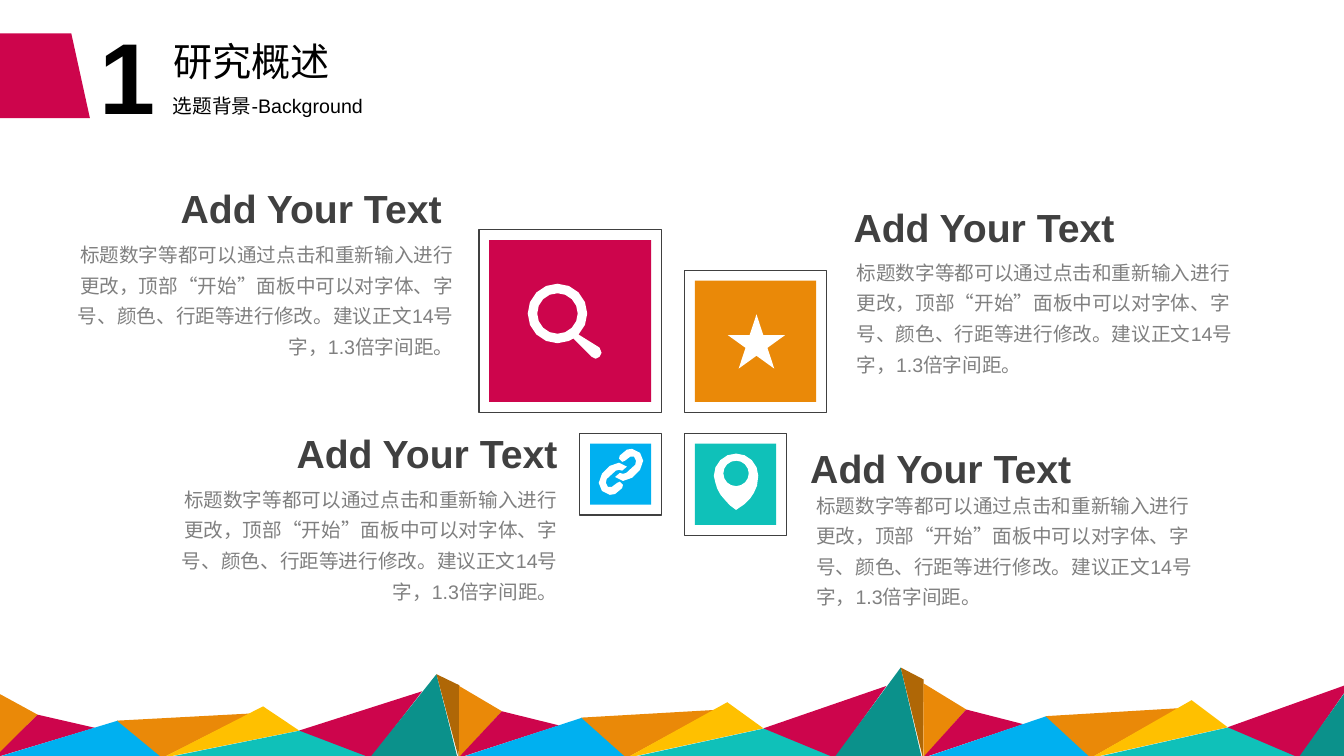
import math

import pptx
import pptx.dml.color
import pptx.enum.shapes
import pptx.enum.text
import pptx.util

Cm = pptx.util.Cm
PRESET = pptx.enum.shapes.MSO_SHAPE
LEFT = pptx.enum.text.PP_ALIGN.LEFT
RIGHT = pptx.enum.text.PP_ALIGN.RIGHT

COLOURS = {
    "crimson": "CD054C", "orange": "EA8908", "turquoise": "0FC1B9",
    "sky": "00B0F0", "gold": "FFC000", "teal": "0B918B", "brown": "AF6706",
    "white": "FFFFFF", "black": "000000", "charcoal": "404040", "grey": "808080",
}

SECTION_NUMBER = "1"
SECTION_TITLE = "研究概述"
SECTION_SUBTITLE = "选题背景-Background"
HEADING = "Add Your Text"
ADVICE = ("标题数字等都可以通过点击和重新输入进行更改，顶部“开始”面板中可以对"
          "字体、字号、颜色、行距等进行修改。建议正文14号字，1.3倍字间距。")

TOPICS = [
    {"heading": (4.22, 4.52), "advice": (1.57, 5.82), "align": RIGHT},
    {"heading": (7.14, 10.69), "advice": (4.19, 11.99), "align": RIGHT},
    {"heading": (21.26, 5), "advice": (21.34, 6.27), "align": LEFT},
    {"heading": (20.17, 11.07), "advice": (20.32, 12.14), "align": LEFT},
]

TILES = [
    ("crimson", 4.6, "left", "top"),
    ("orange", 3.58, "right", "top"),
    ("turquoise", 2.57, "right", "bottom"),
    ("sky", 2.06, "left", "bottom"),
]
TILE_EDGES = {"left": 16.67, "right": 17.25, "top": 10.39, "bottom": 10.92}
TILE_INSET = 0.26

RIDGE_BASE = 19.1
RIDGE_PERIOD = 11.7
RIDGE_STRETCH = [1, 1.08, 1.12]
RIDGE = [
    ("orange", [(-0.13, 0), (-0.13, 1.68), (0.95, 1.09)]),
    ("crimson", [(-0.15, 0), (0.95, 1.09), (2.39, 0.76)]),
    ("sky", [(-0.13, 0), (2.97, 0.94), (4.14, 0)]),
    ("orange", [(2.95, 0.94), (6.32, 1.12), (4.09, 0)]),
    ("gold", [(7.54, 0.69), (4.09, 0), (6.63, 1.3)]),
    ("turquoise", [(9.4, 0), (4.14, 0), (7.57, 0.69)]),
    ("crimson", [(9.35, 0), (7.54, 0.69), (10.64, 1.68)]),
    ("teal", [(11.53, 0), (9.32, 0), (11, 2.11)]),
    ("brown", [(11.58, 1.83), (11.56, 0), (11, 2.11)]),
]

LENS_CENTRE = (14.05, 7.9)
LENS_HANDLE = [(15.11, 8.76), (15.16, 8.89), (15.11, 8.99),
               (15.01, 9.04), (14.91, 8.99), (14.45, 8.53)]
PIN_POINT = [(19.08, 12.24), (19, 12.42), (18.9, 12.57), (18.77, 12.7),
             (18.55, 12.85), (18.39, 12.73), (18.29, 12.62),
             (18.16, 12.47), (18.08, 12.32), (18.03, 12.17)]
CHAIN_CENTRE = (15.65, 11.89)
CHAIN_LINK = [(0.28, -0.58), (0.48, -0.48), (0.56, -0.28), (0.48, -0.05),
              (0.28, 0.15), (0.05, 0.23), (-0.15, 0.13), (-0.03, 0.03),
              (0.05, 0.05), (0.13, 0.03), (0.36, -0.18), (0.38, -0.28),
              (0.33, -0.38), (0.23, -0.38), (0.1, -0.28), (0.03, -0.25),
              (-0.05, -0.33), (-0.03, -0.41), (0.15, -0.56)]

deck = pptx.Presentation()
deck.slide_width, deck.slide_height = Cm(33.87), Cm(19.05)
slide = deck.slides.add_slide(deck.slide_layouts[5])


def rgb(colour):
    return pptx.dml.color.RGBColor.from_string(COLOURS[colour])


def paint(shape, fill=None, line=None):
    shape.shadow.inherit = False
    if fill:
        shape.fill.solid()
        shape.fill.fore_color.rgb = rgb(fill)
    else:
        shape.fill.background()
    if line:
        shape.line.color.rgb = rgb(line)
        shape.line.width = pptx.util.Pt(1)
    else:
        shape.line.fill.background()


def add_preset(preset, left, top, width, height, **paints):
    shape = slide.shapes.add_shape(preset, Cm(left), Cm(top), Cm(width), Cm(height))
    paint(shape, **paints)
    return shape


def add_outline(fill, *contours):
    builder = None
    for contour in contours:
        start, *rest = [(Cm(x), Cm(y)) for x, y in contour]
        if builder is None:
            builder = slide.shapes.build_freeform(*start)
        else:
            builder.move_to(*start)
        builder.add_line_segments(rest, close=True)
    paint(builder.convert_to_shape(), fill=fill)


def arc(centre, radius, first=0, last=15):
    angles = [math.pi * step / 8 for step in range(first, last + 1)]
    return [(centre[0] + radius * math.sin(a), centre[1] - radius * math.cos(a))
            for a in angles]


def write(text, left, top, width, height, holder=None, size=14, colour="black",
          bold=False, align=LEFT, spacing=None, wrap=True):
    box = holder or slide.shapes.add_textbox(0, 0, 0, 0)
    box.left, box.top, box.width, box.height = Cm(left), Cm(top), Cm(width), Cm(height)
    frame = box.text_frame
    frame.word_wrap = wrap
    frame.auto_size = pptx.enum.text.MSO_AUTO_SIZE.NONE
    frame.vertical_anchor = pptx.enum.text.MSO_ANCHOR.TOP
    paragraph = frame.paragraphs[0]
    paragraph.alignment = align
    if spacing:
        paragraph.line_spacing = spacing
    run = paragraph.add_run()
    run.text = text
    run.font.name = "Arial"
    run.font.size = pptx.util.Pt(size)
    run.font.bold = bold
    run.font.color.rgb = rgb(colour)


for index, stretch in enumerate(RIDGE_STRETCH):
    is_last = index == len(RIDGE_STRETCH) - 1
    for colour, corners in RIDGE[:-1] if is_last else RIDGE:
        add_outline(colour, [(x + index * RIDGE_PERIOD, RIDGE_BASE - height * stretch)
                             for x, height in corners])

banner = add_preset(PRESET.FLOWCHART_MANUAL_INPUT, 0.03, 0.74, 2.13, 2.34, fill="crimson")
banner.rotation = 90
write(SECTION_NUMBER, 2.26, 0.23, 3.71, 3.33, size=72, bold=True)
write(SECTION_TITLE, 4.11, 0.81, 4.55, 1.45, holder=slide.shapes.title, size=28)
write(SECTION_SUBTITLE, 4.11, 2.24, 7.95, 0.86)

for colour, side, column, row in TILES:
    left = TILE_EDGES[column] - (side if column == "left" else 0)
    top = TILE_EDGES[row] - (side if row == "top" else 0)
    inner = side - 2 * TILE_INSET
    add_preset(PRESET.RECTANGLE, left + TILE_INSET, top + TILE_INSET, inner, inner, fill=colour)
    add_preset(PRESET.RECTANGLE, left, top, side, side, line="charcoal")

add_outline("white", arc(LENS_CENTRE, 0.51), arc(LENS_CENTRE, 0.75, 7, 22) + LENS_HANDLE)
add_outline("white", *[[(CHAIN_CENTRE[0] + turn * x, CHAIN_CENTRE[1] + turn * y)
                        for x, y in CHAIN_LINK] for turn in (1, -1)])
add_outline("white", arc((18.55, 11.93), 0.32), arc((18.55, 11.99), 0.56, 12, 20) + PIN_POINT)
add_preset(PRESET.STAR_5_POINT, 18.34, 7.92, 1.45, 1.37, fill="white")

for topic in TOPICS:
    write(ADVICE, *topic["advice"], 10.11, 3.38, colour="grey",
          align=topic["align"], spacing=1.3)
    write(HEADING, *topic["heading"], 7.16, 1.45, size=28, colour="charcoal",
          bold=True, align=topic["align"], wrap=False)

deck.save("out.pptx")
